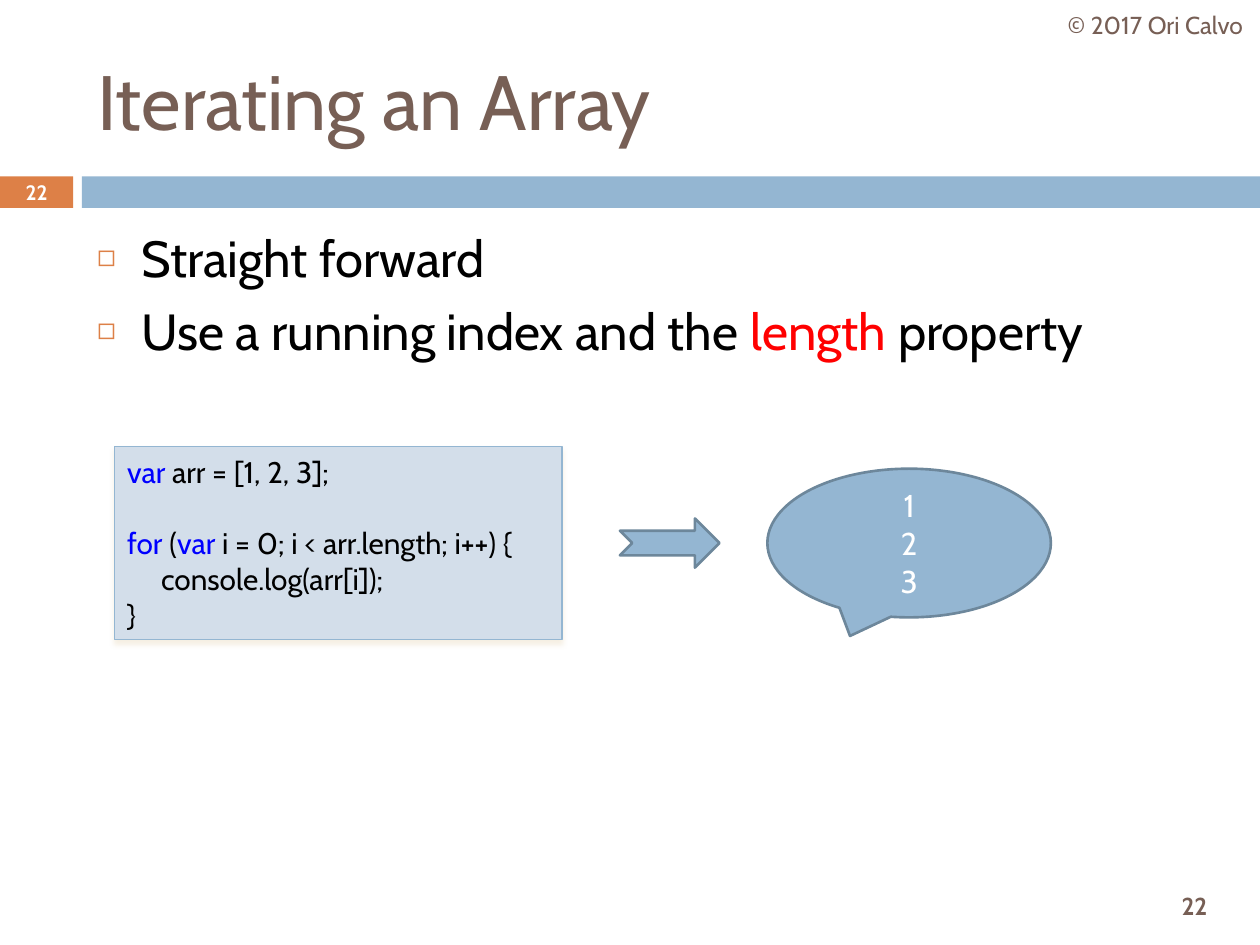
from lxml import etree
from pptx import Presentation, util as u
from pptx.dml.color import RGBColor
from pptx.enum import shapes, text
from pptx.oxml.ns import qn

FONT = "Cabin"
BROWN = RGBColor(0x77, 0x5F, 0x55)
ORANGE = RGBColor(0xDD, 0x80, 0x47)
BLUE = RGBColor(0x94, 0xB6, 0xD2)
DARK_BLUE = RGBColor(0x6D, 0x87, 0x9B)
PALE_BLUE = RGBColor(0xD3, 0xDE, 0xEA)
SAND = RGBColor(0xEB, 0xDD, 0xC3)
KEYWORD = RGBColor(0x00, 0x00, 0xFF)
RED = RGBColor(0xFF, 0x00, 0x00)
BLACK = RGBColor(0x00, 0x00, 0x00)
WHITE = RGBColor(0xFF, 0xFF, 0xFF)

# A paragraph is a list of (text, colour) runs; None means the default colour.
TITLE = "Iterating an Array"
COPYRIGHT = "© 2017 Ori Calvo"
PAGE = "22"
BULLETS = [
    [("Straight forward", None)],
    [("Use a running index and the ", None), ("length", RED), (" property", None)],
]
CODE = [
    [("var ", KEYWORD), ("arr = [1, 2, 3];", None)],
    [("for", KEYWORD), (" (", None), ("var ", KEYWORD),
     ("i = 0; i < arr.length; i++) {", None)],
    [("console.log(arr[i]);", None)],
    [("}", None)],
]
LOOP_START, LOOP_BODY = 1, 2
OUTPUT = ["1", "2", "3"]

LEFT, CONTENT_WIDTH = 0.67, 8.92
BAND_TOP, BAND_HEIGHT = 1.4, 0.25
BADGE_WIDTH, BAND_LEFT, SLIDE_WIDTH = 0.58, 0.65, 10
ROW_MIDDLE = 4.31


def inches(*lengths):
    return [u.Inches(length) for length in lengths]


def write(shape, paragraphs, size, color, bold=False, align=text.PP_ALIGN.LEFT,
          anchor=text.MSO_ANCHOR.MIDDLE, wrap=True):
    """Fill a shape with plain text or lists of runs; return its paragraphs."""
    frame = shape.text_frame
    frame.word_wrap = wrap
    frame.auto_size = text.MSO_AUTO_SIZE.NONE
    frame.vertical_anchor = anchor
    if isinstance(paragraphs, str):
        paragraphs = [paragraphs]
    for index, runs in enumerate(paragraphs):
        paragraph = frame.add_paragraph() if index else frame.paragraphs[0]
        paragraph.alignment = align
        for words, run_color in [(runs, None)] if isinstance(runs, str) else runs:
            run = paragraph.add_run()
            run.text = words
            run.font.name = FONT
            run.font.size = u.Pt(size)
            run.font.bold = bold
            run.font.color.rgb = run_color or color
    return frame.paragraphs


def add_shape(slide, kind, box, fill, line=None, line_width=1.5):
    shape = slide.shapes.add_shape(kind, *inches(*box))
    shape.shadow.inherit = False
    shape.fill.solid()
    shape.fill.fore_color.rgb = fill
    if line is None:
        shape.line.fill.background()
    else:
        shape.line.color.rgb = line
        shape.line.width = u.Pt(line_width)
    return shape


def add_label(slide, box, words, size, color, **options):
    label = slide.shapes.add_textbox(*inches(*box))
    write(label, words, size, color, align=text.PP_ALIGN.CENTER, wrap=False, **options)


def place(placeholder, *box):
    placeholder.left, placeholder.top, placeholder.width, placeholder.height = inches(*box)


def add_bullet(paragraph, indent):
    properties = paragraph._p.get_or_add_pPr()
    properties.set("marL", str(u.Inches(indent)))
    properties.set("indent", str(-u.Inches(indent)))
    color = etree.SubElement(properties, qn("a:buClr"))
    etree.SubElement(color, qn("a:srgbClr"), val=str(ORANGE))
    etree.SubElement(properties, qn("a:buSzPct"), val="60000")
    etree.SubElement(properties, qn("a:buChar"), char="◻")


def add_soft_shadow(shape):
    effects = shape._element.spPr.find(qn("a:effectLst"))
    shadow = etree.SubElement(effects, qn("a:outerShdw"), blurRad=str(u.Pt(3)),
                              dist=str(u.Pt(2.4)), dir="5400000", rotWithShape="0")
    color = etree.SubElement(shadow, qn("a:srgbClr"), val=str(SAND))
    etree.SubElement(color, qn("a:alpha"), val="45000")


def centred_row(left, width, height):
    return left, ROW_MIDDLE - height / 2, width, height


def main():
    presentation = Presentation()
    presentation.slide_width, presentation.slide_height = inches(SLIDE_WIDTH, 7.5)
    slide = presentation.slides.add_slide(presentation.slide_layouts[1])
    kinds = shapes.MSO_SHAPE
    center = text.PP_ALIGN.CENTER

    for left, right, color in [(0, BADGE_WIDTH, ORANGE), (BAND_LEFT, SLIDE_WIDTH, BLUE)]:
        add_shape(slide, kinds.RECTANGLE, (left, BAND_TOP, right - left, BAND_HEIGHT), color)
    add_label(slide, (0, BAND_TOP, BADGE_WIDTH, BAND_HEIGHT), PAGE, 11.9, WHITE, bold=True)
    add_label(slide, (9.02, 6.98, 0.92, 0.42), PAGE, 14, BROWN, bold=True)
    add_label(slide, (8.34, 0, 1.66, 0.4), COPYRIGHT, 14, BROWN)

    title, body = slide.placeholders
    place(title, LEFT, 0.25, CONTENT_WIDTH, 1.08)
    write(title, TITLE, 44, BROWN)
    place(body, LEFT, 1.75, CONTENT_WIDTH, 4.92)
    for paragraph in write(body, BULLETS, 29, BLACK, anchor=text.MSO_ANCHOR.TOP):
        paragraph.space_before = u.Pt(7)
        add_bullet(paragraph, 0.35)

    code = add_shape(slide, kinds.RECTANGLE, centred_row(0.91, 3.55, 1.53),
                     PALE_BLUE, BLUE, 0.75)
    add_soft_shadow(code)
    lines = write(code, CODE, 17, BLACK)
    lines[LOOP_START].space_before = u.Pt(20.5)
    lines[LOOP_BODY]._p.get_or_add_pPr().set("marL", str(u.Inches(0.27)))

    add_shape(slide, kinds.NOTCHED_RIGHT_ARROW, centred_row(4.92, 0.79, 0.39), BLUE, DARK_BLUE)
    callout = add_shape(slide, kinds.OVAL_CALLOUT, centred_row(6.09, 2.25, 1.18),
                        BLUE, DARK_BLUE)
    write(callout, OUTPUT, 18, WHITE, align=center)

    presentation.save("out.pptx")


if __name__ == "__main__":
    main()
